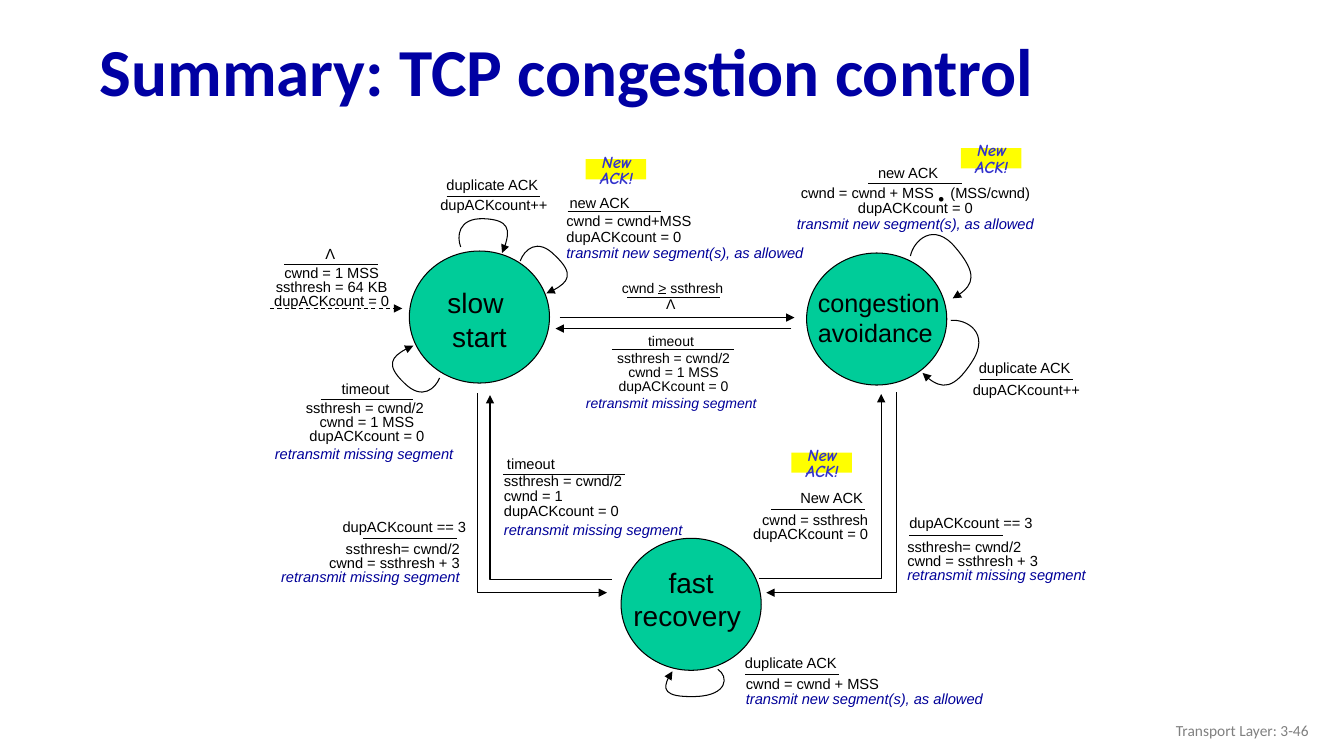
from lxml.etree import SubElement
from pptx import Presentation
from pptx.dml.color import RGBColor
from pptx.enum.dml import MSO_LINE
from pptx.enum.shapes import MSO_CONNECTOR, MSO_SHAPE
from pptx.enum.text import MSO_ANCHOR, PP_ALIGN
from pptx.oxml.ns import qn
from pptx.util import Inches, Pt

COLORS = {"title": "0000A3", "text": "000000", "action": "000099", "state": "00CC99",
          "badge": "FFFF00", "badge_text": "3333CC", "footer": "808080"}
LEFT, CENTER, RIGHT = PP_ALIGN.LEFT, PP_ALIGN.CENTER, PP_ALIGN.RIGHT

prs = Presentation()
prs.slide_width, prs.slide_height = Inches(13.33), Inches(7.5)
slide = prs.slides.add_slide(prs.slide_layouts[6])
shapes = slide.shapes


def write(frame, lines, size, align=LEFT, spacing=None, font="Arial", color="text",
          bold=False, italic=False, wrap=False):
    frame.word_wrap = wrap
    for number, line in enumerate(lines):
        paragraph = frame.paragraphs[0] if number == 0 else frame.add_paragraph()
        paragraph.alignment = align
        if spacing:
            paragraph.line_spacing = spacing
        is_action = "transmit" in line
        for piece in line.split("|"):
            run = paragraph.add_run()
            run.text = piece
            run.font.name, run.font.size = font, Pt(size)
            run.font.bold, run.font.italic = bold, italic or is_action
            run.font.color.rgb = RGBColor.from_string(COLORS["action" if is_action else color])


def stroke(outline, arrow=False):
    outline.line.color.rgb = RGBColor.from_string(COLORS["text"])
    outline.line.width = Pt(0.75)
    properties = outline._element.spPr
    if arrow:
        SubElement(properties.find(qn("a:ln")), qn("a:tailEnd"), type="triangle")
    SubElement(properties, qn("a:effectLst"))


title = shapes.add_textbox(Inches(0.89), Inches(0.25), Inches(12.44), Inches(0.98)).text_frame
title.vertical_anchor = MSO_ANCHOR.MIDDLE
write(title, ["Summary: TCP congestion control"], 48, spacing=0.9, font="Calibri",
      color="title", bold=True, wrap=True)

states = [
    (["slow ", "start"], 4.06, 2.49, 20, 0.1, 0.05, 0),
    (["congestion", "avoidance "], 8, 2.51, 18, 0.14, 0, 0.03),
    (["fast", "recovery "], 6.16, 5.34, 20, 0.1, 0, 0.11),
]
for name, x, y, size, inset_left, inset_top, inset_bottom in states:
    state = shapes.add_shape(MSO_SHAPE.OVAL, Inches(x), Inches(y), Inches(1.39), Inches(1.31))
    state.fill.solid()
    state.fill.fore_color.rgb = RGBColor.from_string(COLORS["state"])
    stroke(state)
    frame = state.text_frame
    frame.vertical_anchor = MSO_ANCHOR.MIDDLE
    frame.margin_left = Inches(inset_left)
    frame.margin_top, frame.margin_bottom = Inches(inset_top), Inches(inset_bottom)
    write(frame, name, size, CENTER)

events = [
    ("timeout", 6.33, 3.25, 0.75, 10),
    ("Λ", 6.51, 2.88, 0.3, 10),
    ("cwnd > ssthresh", 6.07, 2.72, 1.25, 10),
    ("new ACK", 8.61, 1.58, 0.82, 10.5),
    ("duplicate ACK", 9.61, 3.51, 1.14, 10.5),
    ("duplicate ACK", 7.29, 6.44, 1.14, 10.5),
    ("dupACKcount == 3", 3.3, 5.09, 1.45, 10.5),
    ("timeout", 4.93, 4.46, 0.69, 10.5),
    ("dupACKcount == 3", 8.92, 5.05, 1.45, 10.5),
    ("New ACK", 7.84, 4.8, 0.84, 10.5),
    ("timeout", 3.29, 3.72, 0.69, 10.5),
    ("new ACK", 5.55, 1.87, 0.82, 10.5),
    ("duplicate ACK", 4.33, 1.69, 1.14, 10.5),
    ("Λ", 3.13, 2.38, 0.3, 10.5),
]
for event, x, y, width, size in events:
    label = shapes.add_textbox(Inches(x), Inches(y), Inches(width), Inches(0.28))
    write(label.text_frame, [event], size)

SEND = "transmit new segment(s), as allowed"
RESEND = "retransmit missing segment"
RESET = "dupACKcount = 0"
HALVE = ["ssthresh= cwnd/2", "cwnd = ssthresh + 3", RESEND]
actions = [
    (["ssthresh = cwnd/2", "cwnd = 1 MSS", RESET, RESEND + "| "],
     5.71, 3.44, 1.94, 0.7, 10, CENTER, 0.85, 12),
    (["cwnd = cwnd + MSS| |(MSS/cwnd)", RESET, SEND],
     7.78, 1.79, 2.6, 0.77, 10.5, CENTER, 0.9, None),
    (["dupACKcount++"], 9.54, 3.76, 1.28, 0.43, 10.5, CENTER, 0.8, None),
    (["cwnd = cwnd + MSS", SEND], 7.3, 6.67, 2.6, 0.59, 10.5, LEFT, 0.85, None),
    (HALVE, 2.65, 5.34, 2.01, 0.71, 10.5, RIGHT, 0.8, None),
    (["ssthresh = cwnd/2", "cwnd = 1", RESET, RESEND + "| "],
     4.9, 4.66, 2.06, 0.75, 10.5, LEFT, 0.85, 14),
    (HALVE, 8.9, 5.32, 2.01, 0.71, 10.5, LEFT, 0.8, None),
    (["cwnd = ssthresh", RESET], 7.35, 5.05, 1.36, 0.71, 10.5, RIGHT, 0.8, None),
    (["ssthresh = cwnd/2 ", "cwnd = 1 MSS", RESET, RESEND + "| "],
     2.61, 3.94, 2.06, 0.71, 10.5, CENTER, 0.8, 14),
    (["cwnd = cwnd+MSS", RESET, SEND], 5.52, 2.07, 2.6, 0.77, 10.5, LEFT, 0.9, None),
    (["dupACKcount++"], 4.26, 1.93, 1.28, 0.43, 10.5, CENTER, 0.8, None),
    (["cwnd = 1 MSS", "ssthresh = 64 KB", RESET],
     2.61, 2.6, 1.36, 0.52, 10.5, CENTER, 0.8, None),
]
for lines, x, y, width, height, size, align, spacing, end_size in actions:
    frame = shapes.add_textbox(Inches(x), Inches(y), Inches(width), Inches(height)).text_frame
    write(frame, lines, size, align, spacing)
    if end_size:
        frame.paragraphs[-1].runs[-1].font.size = Pt(end_size)
    first_runs = frame.paragraphs[0].runs
    if len(first_runs) == 3:
        first_runs[1]._r.get_or_add_rPr().set("spc", "876")

product_dot = shapes.add_textbox(Inches(9.19), Inches(1.56), Inches(0.3), Inches(0.57))
write(product_dot.text_frame, ["."], 28, font="Times New Roman")

rules = [
    (6.07, 3.47, 1.21), (6.22, 2.95, 0.92), (6.53, 2.91, 0.08), (8.61, 1.82, 0.93),
    (9.72, 3.77, 0.92), (7.39, 6.69, 0.93), (3.6, 5.34, 0.93), (4.99, 4.71, 1.21),
    (9.02, 5.31, 0.93), (7.65, 5.05, 0.93), (3.18, 3.96, 0.92), (5.63, 2.1, 0.93),
    (4.43, 1.95, 0.93), (2.82, 2.62, 0.93),
]
for x, y, length in rules:
    rule = shapes.add_connector(MSO_CONNECTOR.STRAIGHT, Inches(x), Inches(y),
                                Inches(x + length), Inches(y))
    stroke(rule)

for start, end, y, dashed in [(7.85, 5.51, 3.26, False), (5.55, 7.88, 3.15, False),
                              (2.68, 3.99, 3.06, True)]:
    transition = shapes.add_connector(MSO_CONNECTOR.STRAIGHT, Inches(start), Inches(y),
                                      Inches(end), Inches(y))
    if dashed:
        transition.line.dash_style = MSO_LINE.DASH
    stroke(transition, arrow=True)

routes = [
    [(4.74, 3.9), (4.74, 5.88), (6.02, 5.88)],
    [(6.07, 5.75), (4.86, 5.75), (4.86, 3.92)],
    [(8.89, 3.89), (8.89, 5.88), (7.6, 5.88)],
    [(7.53, 5.74), (8.74, 5.74), (8.74, 3.91)],
]
loops = [
    [(9.03, 2.54), (9.06, 2.39), (9.26, 2.19), (9.48, 2.46), (9.7, 2.72), (9.64, 2.86), (9.45, 2.96)],
    [(9.43, 3.18), (9.58, 3.16), (9.83, 3.3), (9.64, 3.59), (9.46, 3.87), (9.3, 3.86), (9.15, 3.7)],
    [(7.12, 6.64), (7.23, 6.71), (7.22, 6.9), (6.9, 6.91), (6.57, 6.92), (6.57, 6.79), (6.67, 6.66)],
    [(4.57, 2.45), (4.53, 2.35), (4.54, 2.16), (4.8, 2.17), (5.05, 2.18), (5.07, 2.31), (4.98, 2.51)],
    [(5.16, 2.59), (5.2, 2.48), (5.33, 2.35), (5.51, 2.54), (5.7, 2.72), (5.62, 2.83), (5.42, 2.91)],
    [(4.36, 3.75), (4.32, 3.85), (4.19, 3.98), (4.01, 3.8), (3.82, 3.62), (3.9, 3.51), (4.1, 3.43)],
]
for route in routes + loops:
    corners = [(Inches(x), Inches(y)) for x, y in route]
    builder = shapes.build_freeform(*corners[0])
    builder.add_line_segments(corners[1:], close=False)
    transition = builder.convert_to_shape()
    transition.fill.background()
    stroke(transition, arrow=True)
    if route in loops:
        segments = list(transition._element.iter(qn("a:lnTo")))
        outline = segments[0].getparent()
        for first in (0, 3):
            curve = SubElement(outline, qn("a:cubicBezTo"))
            for segment in segments[first:first + 3]:
                curve.append(segment[0])
                outline.remove(segment)

for x, y in [(7.85, 4.49), (5.81, 1.58), (9.53, 1.47)]:
    badge = shapes.add_shape(MSO_SHAPE.RECTANGLE, Inches(x), Inches(y), Inches(0.6), Inches(0.2))
    badge.shadow.inherit = False
    badge.fill.solid()
    badge.fill.fore_color.rgb = RGBColor.from_string(COLORS["badge"])
    badge.line.fill.background()
    caption = shapes.add_textbox(Inches(x - 0.04), Inches(y - 0.09), Inches(0.69), Inches(0.42))
    write(caption.text_frame, ["New", "ACK!"], 12, CENTER, 0.8, "Comic Neue", "badge_text",
          bold=True, italic=True, wrap=True)

footer = shapes.add_textbox(Inches(10.08), Inches(7.05), Inches(3), Inches(0.4)).text_frame
footer.vertical_anchor = MSO_ANCHOR.MIDDLE
write(footer, ["Transport Layer: 3-46"], 11, RIGHT, font="Calibri", color="footer", wrap=True)

prs.save("out.pptx")
